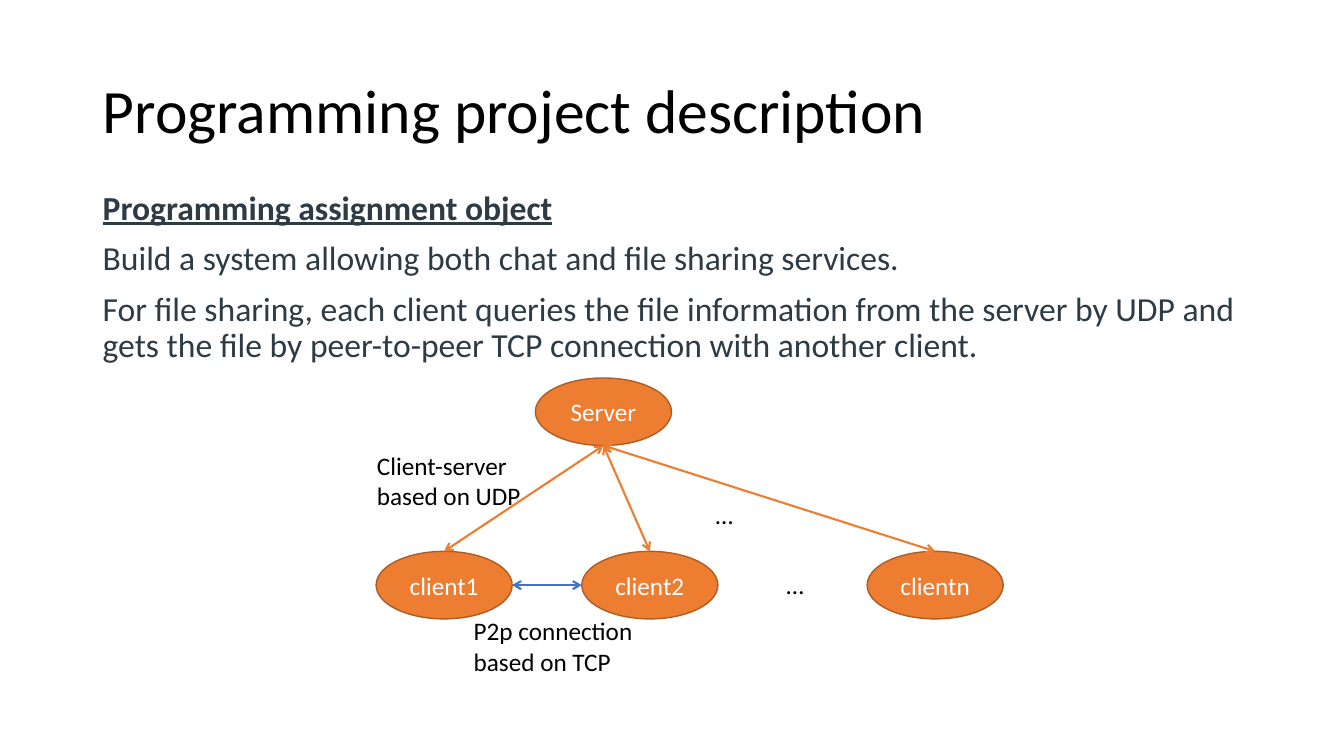
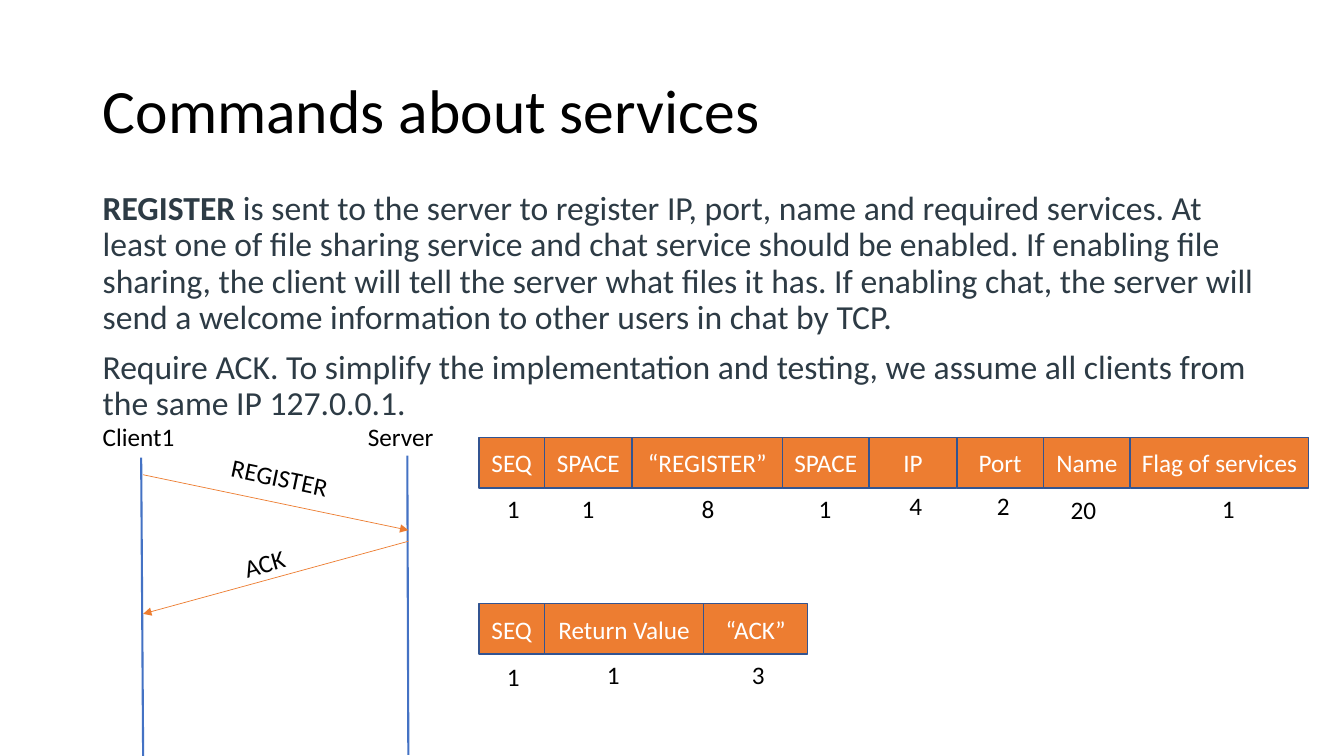
from dataclasses import dataclass

from pptx import Presentation
from pptx.dml.color import RGBColor
from pptx.enum.shapes import MSO_CONNECTOR, MSO_SHAPE
from pptx.enum.text import MSO_ANCHOR, MSO_AUTO_SIZE, PP_ALIGN
from pptx.oxml.ns import qn
from pptx.util import Inches, Pt
from lxml import etree

STRAIGHT = MSO_CONNECTOR.STRAIGHT
ELLIPSE, RECTANGLE = MSO_SHAPE.OVAL, MSO_SHAPE.RECTANGLE
TOP, MIDDLE = MSO_ANCHOR.TOP, MSO_ANCHOR.MIDDLE
LEFT, CENTER = PP_ALIGN.LEFT, PP_ALIGN.CENTER
NO_AUTOFIT, GROW = MSO_AUTO_SIZE.NONE, MSO_AUTO_SIZE.SHAPE_TO_FIT_TEXT


@dataclass(frozen=True)
class Theme:
    font: str = "Calibri"
    black: RGBColor = RGBColor.from_string("000000")
    white: RGBColor = RGBColor.from_string("FFFFFF")
    slate: RGBColor = RGBColor.from_string("2D3B45")
    orange: RGBColor = RGBColor.from_string("ED7D31")
    rust: RGBColor = RGBColor.from_string("AF5C24")
    blue: RGBColor = RGBColor.from_string("4472C4")
    navy: RGBColor = RGBColor.from_string("325491")
    title_size: Pt = Pt(44)
    body_size: Pt = Pt(24)
    label_size: Pt = Pt(18)
    outline: Pt = Pt(1)
    thin: Pt = Pt(0.5)
    thick: Pt = Pt(1.5)


theme = Theme()
TITLE = {
    "size": theme.title_size, "color": theme.black, "spacing": 0.9,
    "frame": {"vertical_anchor": MIDDLE, "auto_size": NO_AUTOFIT, "word_wrap": True},
    "paragraph": {"alignment": LEFT},
}
BODY = {
    "size": theme.body_size, "color": theme.slate, "spacing": 0.9,
    "frame": {"vertical_anchor": TOP, "auto_size": NO_AUTOFIT, "word_wrap": True},
    "paragraph": {"alignment": LEFT},
}
LABEL = {
    "size": theme.label_size, "color": theme.black, "spacing": 1.0,
    "frame": {"vertical_anchor": TOP, "auto_size": GROW, "word_wrap": True},
    "paragraph": {"alignment": LEFT},
}
NODE = {
    "size": theme.label_size, "color": theme.white, "spacing": 1.0,
    "frame": {"vertical_anchor": MIDDLE, "auto_size": NO_AUTOFIT, "word_wrap": True},
    "paragraph": {"alignment": CENTER},
    "geometry": ELLIPSE, "line": theme.rust,
}
FIELD = {**NODE, "geometry": RECTANGLE, "line": theme.navy}


def add_text(slide, box, paragraphs, style, rotation=0):
    left, top, width, height = [Inches(length) for length in box]
    if style is TITLE:
        shape = slide.shapes.title
        shape.left, shape.top, shape.width, shape.height = left, top, width, height
    elif "geometry" in style:
        shape = slide.shapes.add_shape(style["geometry"], left, top, width, height)
        shape.shadow.inherit = False
        shape.fill.solid()
        shape.fill.fore_color.rgb = theme.orange
        shape.line.color.rgb = style["line"]
        shape.line.width = theme.outline
    else:
        shape = slide.shapes.add_textbox(left, top, width, height)
    shape.rotation = rotation
    frame = shape.text_frame
    for name, value in style["frame"].items():
        setattr(frame, name, value)
    if isinstance(paragraphs, str):
        paragraphs = [[(paragraphs, {})]]
    for index, runs in enumerate(paragraphs):
        paragraph = frame.add_paragraph() if index else frame.paragraphs[0]
        paragraph.line_spacing = style["spacing"]
        paragraph.space_before = Pt(10) if index else Pt(0)
        for name, value in style["paragraph"].items():
            setattr(paragraph, name, value)
        for text, emphasis in runs:
            run = paragraph.add_run()
            run.text = text
            run.font.color.rgb = style["color"]
            formats = {"name": theme.font, "size": style["size"], **emphasis}
            for name, value in formats.items():
                setattr(run.font, name, value)


def add_line(slide, start, end, color, width, head=None, tail=None):
    points = [Inches(length) for length in (*start, *end)]
    connector = slide.shapes.add_connector(STRAIGHT, *points)
    connector.line.color.rgb = color
    connector.line.width = width
    outline = connector.line._get_or_add_ln()
    for tag, arrow in (("a:headEnd", head), ("a:tailEnd", tail)):
        if arrow:
            etree.SubElement(outline, qn(tag), type=arrow)
    etree.SubElement(connector._element.spPr, qn("a:effectLst"))


presentation = Presentation()
presentation.slide_width = Inches(13.33)
presentation.slide_height = Inches(7.5)

contents = [
    (
        "Programming project description",
        4.76,
        [
            [("Programming assignment object", {"bold": True, "underline": True})],
            [("Build a system allowing both chat and file sharing services.", {})],
            [("For file sharing, each client queries the file information from the "
              "server by UDP and gets the file by peer-to-peer TCP connection with "
              "another client.", {})],
        ],
    ),
    (
        "Commands about services",
        2.25,
        [
            [("REGISTER", {"bold": True}),
             (" is sent to the server to register IP, port, name and required "
              "services. At least one of file sharing service and chat service should "
              "be enabled. If enabling file sharing, the client will tell the server "
              "what files it has. If enabling chat, the server will send a welcome "
              "information to other users in chat by TCP.", {})],
            [("Require ACK. To simplify the implementation and testing, we assume all "
              "clients from the same IP 127.0.0.1.", {})],
        ],
    ),
]
slides = []
for title, body_height, body in contents:
    slide = presentation.slides.add_slide(presentation.slide_layouts[5])
    add_text(slide, (0.92, 0.4, 11.5, 1.45), title, TITLE)
    add_text(slide, (0.92, 1.85, 11.66, body_height), body, BODY)
    slides.append(slide)
project_slide, commands_slide = slides

node_width, node_height = 1.35, 0.67
server_left, server_top, client_top = 5.31, 3.75, 5.47
clients = {"client1": 3.73, "client2": 5.77, "clientn": 8.6}
server_bottom = (server_left + node_width / 2, server_top + node_height)
add_text(project_slide, (server_left, server_top, node_width, node_height), "Server", NODE)
for name, left in clients.items():
    add_text(project_slide, (left, client_top, node_width, node_height), name, NODE)
    add_line(project_slide, server_bottom, (left + node_width / 2, client_top),
             theme.orange, theme.thick, "arrow", "arrow")

client_middle = client_top + node_height / 2
add_line(project_slide, (clients["client1"] + node_width, client_middle),
         (clients["client2"], client_middle), theme.blue, theme.thick, "arrow", "arrow")

for text, box in [
    ("…", (7.7, 5.6, 0.82, 0.4)),
    ("…", (7, 4.9, 0.82, 0.4)),
    ("Client-server based on UDP", (3.64, 4.42, 1.8, 0.71)),
    ("P2p connection based on TCP", (4.6, 6.06, 1.94, 0.71)),
]:
    add_text(project_slide, box, text, LABEL)

for name, left, start, end in [
    ("Client1", 0.92, (1.4, 4.54), (1.42, 7.5)),
    ("Server", 3.55, (4.04, 4.52), (4.05, 7.49)),
]:
    add_line(commands_slide, start, end, theme.blue, theme.thick)
    add_text(commands_slide, (left, 4.13, 1, 0.4), name, LABEL)

for name, start, end, box, rotation in [
    ("REGISTER", (1.42, 4.71), (4.05, 5.26), (2.19, 4.56, 1.43, 0.4), 11.9),
    ("ACK", (4.05, 5.37), (1.42, 6.09), (2.32, 5.38, 0.65, 0.4), -15.8),
]:
    add_line(commands_slide, start, end, theme.orange, theme.thin, tail="triangle")
    add_text(commands_slide, box, name, LABEL, rotation)

field_height = 0.5
messages = [
    (4.34, [
        ("SEQ", 0.65, "1", 4.93, 4.84),
        ("SPACE", 0.87, "1", 5.67, 4.84),
        ("“REGISTER”", 1.49, "8", 6.86, 4.84),
        ("SPACE", 0.86, "1", 8.02, 4.84),
        ("IP", 0.87, "4", 8.92, 4.82),
        ("Port", 0.86, "2", 9.79, 4.82),
        ("Name", 0.86, "20", 10.52, 4.86),
        ("Flag of services", 1.77, "1", 12.02, 4.84),
    ]),
    (5.99, [
        ("SEQ", 0.65, "1", 4.93, 6.51),
        ("Return Value", 1.58, "1", 5.92, 6.49),
        ("“ACK”", 1.03, "3", 7.36, 6.49),
    ]),
]
for field_top, fields in messages:
    field_left = 4.75
    for name, width, byte_count, count_left, count_top in fields:
        add_text(commands_slide, (field_left, field_top, width, field_height), name, FIELD)
        count_width = 0.27 if len(byte_count) == 1 else 0.52
        add_text(commands_slide, (count_left, count_top, count_width, 0.4), byte_count, LABEL)
        field_left += width

presentation.save("out.pptx")
